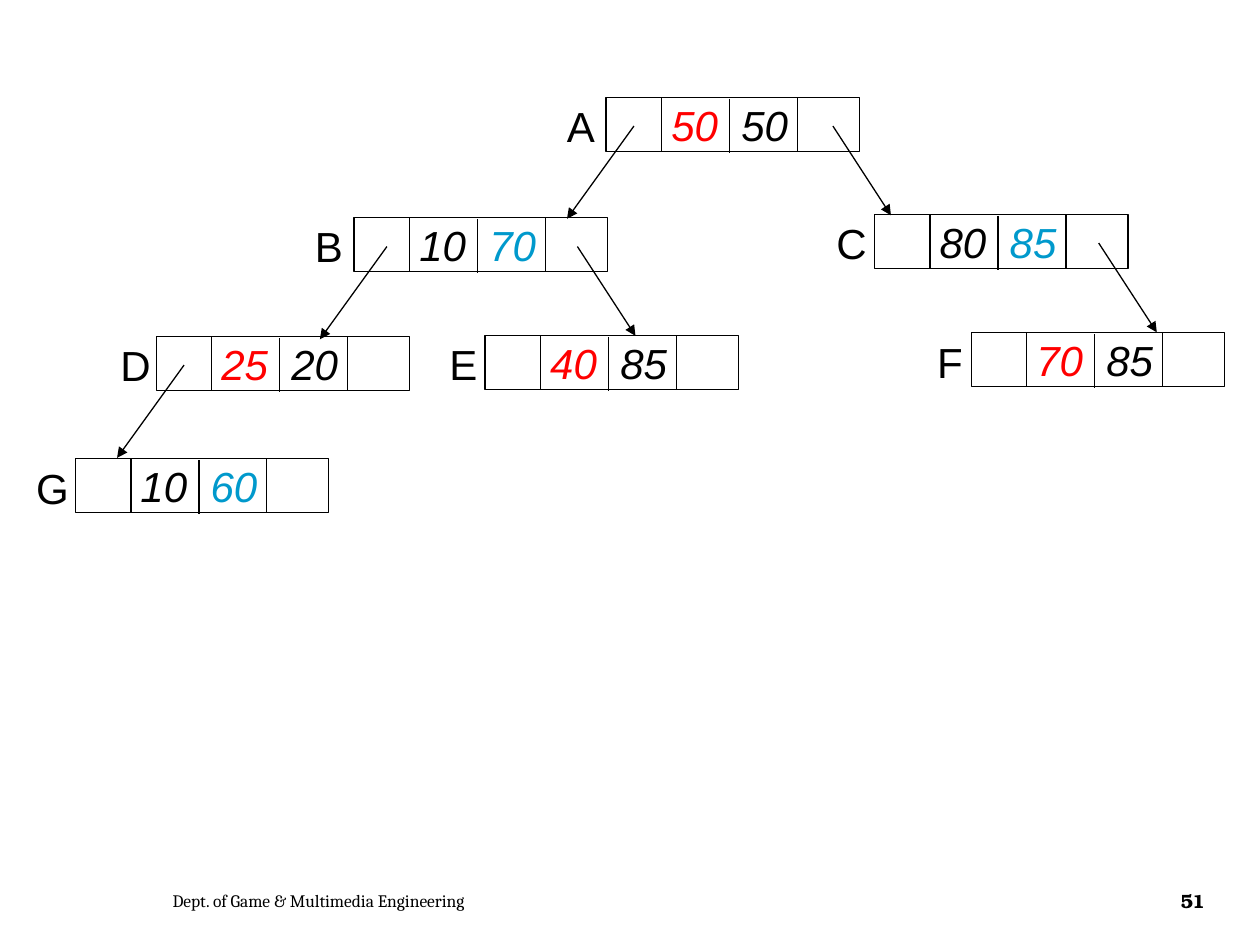
from lxml.etree import SubElement
from pptx import Presentation
from pptx.dml.color import RGBColor
from pptx.enum.shapes import MSO_CONNECTOR, MSO_SHAPE
from pptx.enum.text import MSO_ANCHOR, PP_ALIGN
from pptx.oxml.ns import qn
from pptx.util import Cm, Pt

BLACK = RGBColor(0x00, 0x00, 0x00)
RED = RGBColor(0xFF, 0x00, 0x00)
BLUE = RGBColor(0x00, 0x99, 0xCC)

NODE_WIDTH, NODE_HEIGHT = 5.11, 1.09
FIELD_LEFT, FIELD_WIDTH = 1.12, 2.74
LINK_TOP = 0.58
LEFT_REACH, RIGHT_REACH = (-1.35, 1.87), (1.17, 1.80)

# name: left, top, gap from label to node, two (number, colour) fields
NODES = {
    "A": (12.22, 1.96, 1.04, ("50", RED), ("50", BLACK)),
    "B": (7.14, 4.39, 1.04, ("10", BLACK), ("70", BLUE)),
    "C": (17.63, 4.32, 1.02, ("80", BLACK), ("85", BLUE)),
    "D": (3.15, 6.78, 0.97, ("25", RED), ("20", BLACK)),
    "E": (9.78, 6.76, 0.97, ("40", RED), ("85", BLACK)),
    "F": (19.58, 6.71, 0.94, ("70", RED), ("85", BLACK)),
    "G": (1.52, 9.25, 1.04, ("10", BLACK), ("60", BLUE)),
}
# parent, start inside the parent, reach to the child
LINKS = [
    ("A", 0.56, LEFT_REACH),
    ("A", 4.57, RIGHT_REACH),
    ("B", 0.66, LEFT_REACH),
    ("B", 4.50, RIGHT_REACH),
    ("C", 4.52, RIGHT_REACH),
    ("D", 0.56, LEFT_REACH),
]


def add_line(slide, left, top, dx, dy, arrow=False):
    line = slide.shapes.add_connector(
        MSO_CONNECTOR.STRAIGHT, Cm(left), Cm(top), Cm(left + dx), Cm(top + dy))
    line.line.color.rgb = BLACK
    line.line.width = Pt(0.75)
    if arrow:
        SubElement(line.line._get_or_add_ln(), qn("a:tailEnd"), type="triangle")
    SubElement(line._element.spPr, qn("a:effectLst"))


def add_frame(slide, left, top, width):
    frame = slide.shapes.add_shape(
        MSO_SHAPE.RECTANGLE, Cm(left), Cm(top), Cm(width), Cm(NODE_HEIGHT))
    frame.shadow.inherit = False
    frame.fill.background()
    frame.line.color.rgb = BLACK
    frame.line.width = Pt(0.75)
    return frame


def add_text(slide, text, left, top, width, height, font_name, size, wrap=True):
    box = slide.shapes.add_textbox(Cm(left), Cm(top), Cm(width), Cm(height))
    box.text_frame.word_wrap = wrap
    paragraph = box.text_frame.paragraphs[0]
    paragraph.text = text
    paragraph.font.name = font_name
    paragraph.font.size = Pt(size)
    paragraph.font.color.rgb = BLACK
    return box.text_frame


def add_node(slide, name, left, top, label_gap, first, second):
    """Draw a labelled node: two link cells around a pair of numbers."""
    add_frame(slide, left, top, NODE_WIDTH)
    fields = add_frame(slide, left + FIELD_LEFT, top, FIELD_WIDTH).text_frame
    fields.word_wrap = False
    fields.vertical_anchor = MSO_ANCHOR.MIDDLE
    pair = fields.paragraphs[0]
    pair.alignment = PP_ALIGN.CENTER
    pair.font.name = "Arial"
    pair.font.size = Pt(24)
    pair.font.italic = True
    for text, color in (first, (" ", BLACK), second):
        run = pair.add_run()
        run.text = text
        run.font.color.rgb = color
        if text == " ":
            run.font._element.set("spc", "667")  # widen the gap between fields
    add_line(slide, left + FIELD_LEFT + FIELD_WIDTH / 2, top + 0.03, 0, NODE_HEIGHT)
    add_text(slide, name, left - label_gap, top - 0.06, 1.07, 1.27, "Arial", 24, wrap=False)


def add_tree(slide):
    for name, node in NODES.items():
        add_node(slide, name, *node)
    for parent, start, reach in LINKS:
        left, top = NODES[parent][:2]
        add_line(slide, left + start, top + LINK_TOP, *reach, arrow=True)


def add_footer(slide, top, height):
    department = add_text(slide, "Dept. of Game & Multimedia Engineering",
                          3.23, top, 11.66, height, "Cambria", 10)
    number = add_text(slide, "51", 23.37, top, 1.35, height, "TeX Gyre Bonum", 11)
    for frame in (department, number):
        frame.vertical_anchor = MSO_ANCHOR.MIDDLE
    page = number.paragraphs[0]
    page.alignment = PP_ALIGN.CENTER
    page.font.bold = True
    page.runs[0].font._element.set("spc", "-70")


def main():
    presentation = Presentation()
    presentation.slide_width, presentation.slide_height = Cm(25.4), Cm(19.05)
    slide = presentation.slides.add_slide(presentation.slide_layouts[6])
    add_tree(slide)
    add_footer(slide, 17.65, 1.02)
    presentation.save("out.pptx")


if __name__ == "__main__":
    main()
